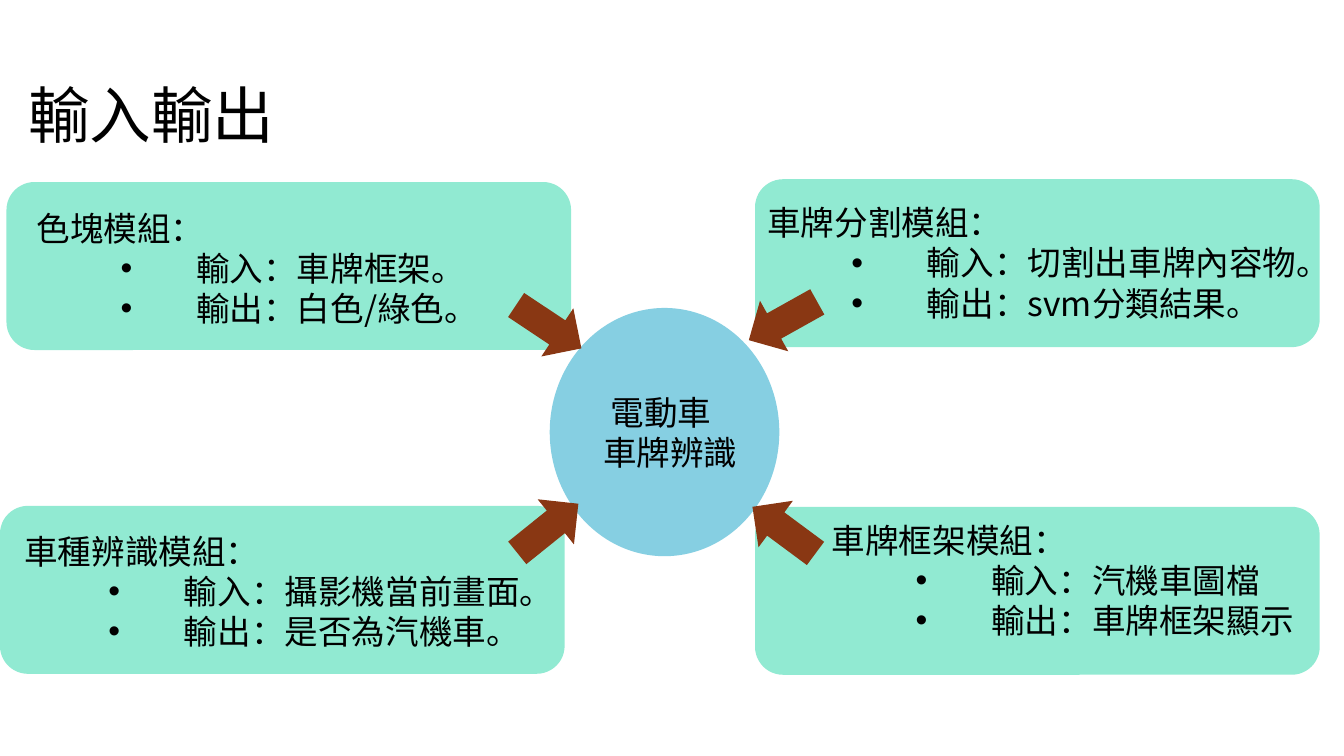
import pptx
import pptx.util
import pptx.dml.color
import pptx.enum.shapes
import pptx.enum.text
import lxml.etree

Pt = pptx.util.Pt
SHAPE = pptx.enum.shapes.MSO_SHAPE
FONT = "Noto Sans CJK SC"
DRAWING = "{http://schemas.openxmlformats.org/drawingml/2006/main}"


def add_filled(kind, left, top, width, height, color):
    shape = page.shapes.add_shape(kind, Pt(left), Pt(top), Pt(width), Pt(height))
    shape.shadow.inherit = False
    shape.fill.solid()
    shape.fill.fore_color.rgb = pptx.dml.color.RGBColor.from_string(color)
    shape.line.fill.background()
    return shape


def add_label(text, left, top, width, height, size, spacing):
    box = page.shapes.add_textbox(Pt(left), Pt(top), Pt(width), Pt(height))
    frame = box.text_frame
    frame.word_wrap = True
    frame.text = text
    for para in frame.paragraphs:
        para.line_spacing = spacing
        for span in para.runs:
            span.font.size = Pt(size)
            span.font.name = FONT
            span.font.color.rgb = pptx.dml.color.RGBColor.from_string("000000")
            east_asian = lxml.etree.SubElement(span.font._element, DRAWING + "ea")
            east_asian.set("typeface", FONT)
    return frame


deck = pptx.Presentation()
deck.slide_width = Pt(720)
deck.slide_height = Pt(405)
page = deck.slides.add_slide(deck.slide_layouts[6])

title = add_label("輸入輸出", 8, 6.5, 792, 114.5, 33, 0.9)
title.vertical_anchor = pptx.enum.text.MSO_ANCHOR.MIDDLE

modules = [
    (404.5, 271.5, 438.5, 273.5, 360, "車牌框架模組：", "輸入：汽機車圖檔", "輸出：車牌框架顯示"),
    (404.5, 96, 404, 103.5, 366.5, "車牌分割模組：", "輸入：切割出車牌內容物。", "輸出：svm分類結果。"),
    (0, 271, 6, 279.5, 360, "車種辨識模組：", "輸入：攝影機當前畫面。", "輸出：是否為汽機車。"),
    (3.5, 97.5, 12.5, 106.5, 286.5, "色塊模組：", "輸入：車牌框架。", "輸出：白色/綠色。"),
]
for panel_left, panel_top, *rest in modules:
    add_filled(SHAPE.ROUNDED_RECTANGLE, panel_left, panel_top, 302.5, 90, "91EAD2")
add_filled(SHAPE.OVAL, 294.5, 165, 123, 133, "86CFE2")

for panel_left, panel_top, left, top, width, *lines in modules:
    frame = add_label("\n".join(lines), left, top, width, 73, 18, Pt(21.5))
    frame.margin_top = Pt(5)
    for para in frame.paragraphs[1:]:
        para.level = 4
        properties = para._p.get_or_add_pPr()
        properties.set("marL", str(Pt(85.5)))
        properties.set("indent", str(Pt(-40.5)))
        lxml.etree.SubElement(properties, DRAWING + "buFont").set("typeface", "Arial")
        lxml.etree.SubElement(properties, DRAWING + "buChar").set("char", "•")

center = add_label(" 電動車\n車牌辨識", 316, 205, 100, 51, 18, Pt(21.5))
center.margin_top = Pt(5)

arrows = [
    (404, 151, 60.8),
    (278.5, 154, 303.6),
    (278, 262, 231.2),
    (404.5, 263, 126.5),
]
for left, top, angle in arrows:
    arrow = add_filled(SHAPE.DOWN_ARROW, left, top, 31, 42, "893713")
    arrow.rotation = angle

deck.save("out.pptx")
